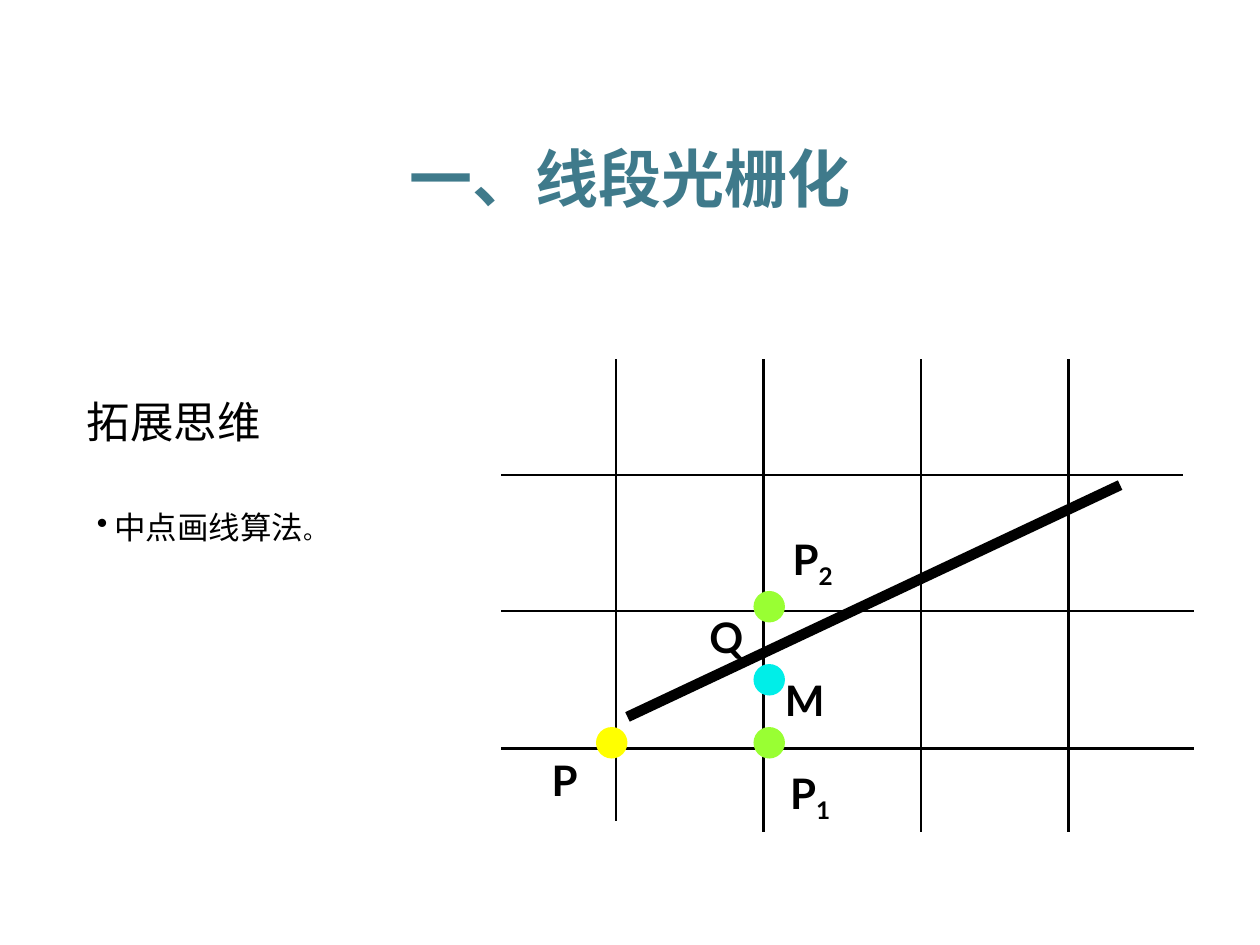
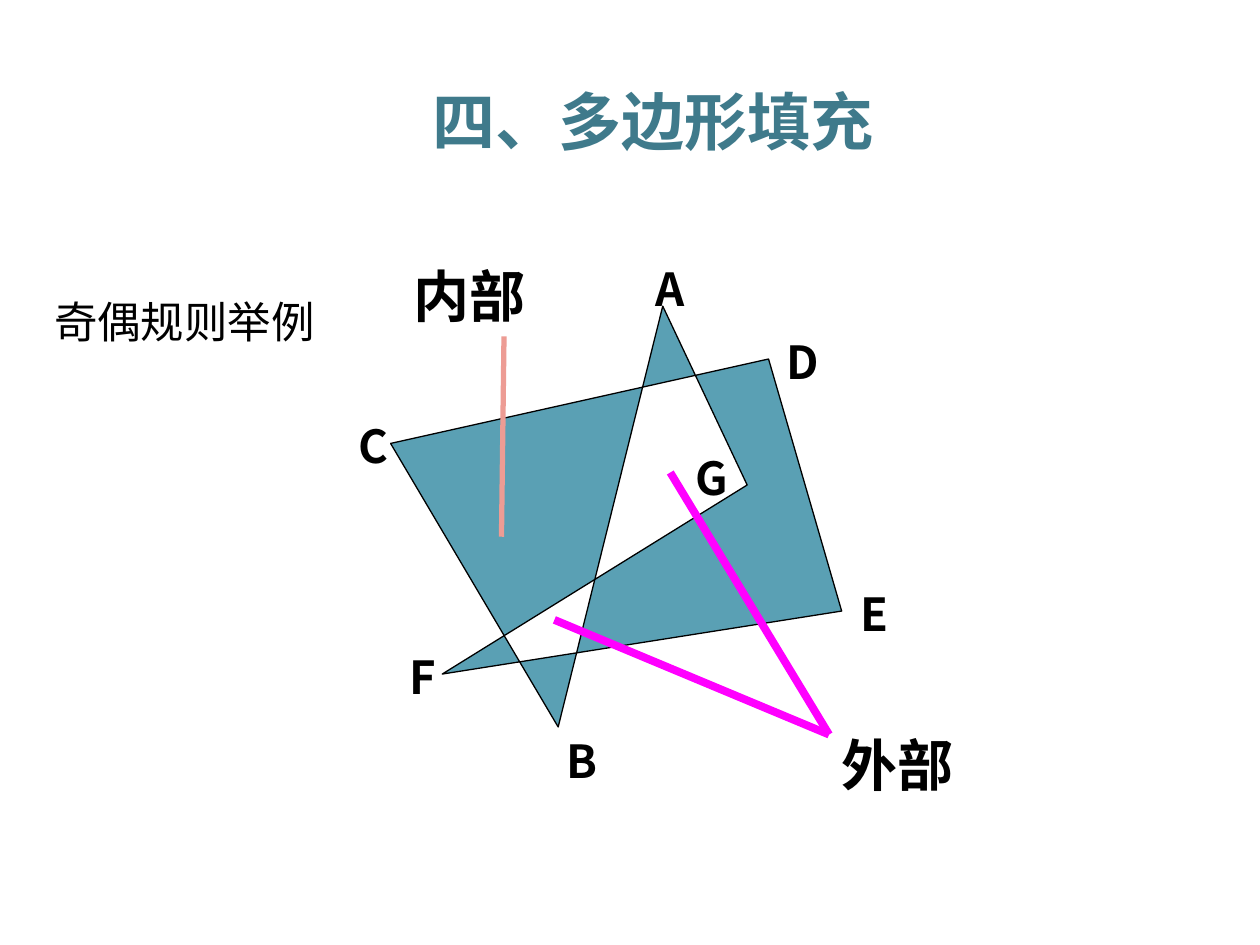
from lxml import etree
from pptx import Presentation
from pptx.dml.color import RGBColor
from pptx.enum.shapes import MSO_CONNECTOR, MSO_SHAPE
from pptx.enum.text import MSO_ANCHOR, MSO_AUTO_SIZE, PP_ALIGN
from pptx.oxml.ns import qn
from pptx.util import Inches, Pt

LEFT, CENTER = PP_ALIGN.LEFT, PP_ALIGN.CENTER
TOP, MIDDLE = MSO_ANCHOR.TOP, MSO_ANCHOR.MIDDLE
STRAIGHT, OVAL = MSO_CONNECTOR.STRAIGHT, MSO_SHAPE.OVAL

COLORS = {
    "ink": "000000", "head": "3F7A8B", "fill": "5AA0B4",
    "yellow": "FFFF00", "green": "99FF33", "cyan": "00EEE8",
    "salmon": "ED9C94", "pink": "FF00FF",
}
SANS, LATO, NOTO = "Arial", "Lato", "Noto Sans CJK SC"

# Slide 1: raster grid with the midpoint rule
RASTER = {"head": "一、线段光栅化", "head_at": (0.33, 0.99, 9.34, 0.83),
          "title": "拓展思维", "title_at": (0.59, 3, 7.99, 0.6)}
BULLET, STOP = "中点画线算法", "。"
ROWS = [(3.77, 9.39), (4.85, 9.48), (5.94, 9.48)]            # y, right end
COLS = [(4.89, 6.52), (6.06, 6.6), (7.31, 6.6), (8.48, 6.6)]  # x, lower end
GRID_LEFT, GRID_TOP = 3.98, 2.85
SEGMENT = (4.98, 5.69, 8.89, 3.85)
DOT = 0.25
DOTS = [(4.73, 5.77, "yellow"), (5.98, 4.69, "green"),
        (5.98, 5.77, "green"), (5.98, 5.27, "cyan")]
POINTS = [  # name, subscript, place, line spacing
    ("M", "", (6.23, 5.35, 0.3, 0.4), 1),
    ("P", "", (4.37, 5.99, 0.22, 0.4), 1),
    ("P", "1", (6.25, 6.03, 0.36, 0.48), 1.2),
    ("P", "2", (6.25, 4.09, 0.4, 0.56), 1.4),
    ("Q", "", (5.63, 4.85, 0.26, 0.4), 1),
]

# Slide 2: polygon filled by the odd-even rule
POLYGON = {"head": "四、多边形填充", "head_at": (0.51, 0.6, 9.34, 0.71),
           "title": "奇偶规则举例", "title_at": (0.33, 2.02, 9.33, 0.98)}
CORNERS = [  # name, corner, label's left and top
    ("A", (5.26, 2.43), (5.1, 2.02)),
    ("B", (4.43, 5.77), (4.4, 5.77)),
    ("C", (3.1, 3.52), (2.75, 3.27)),
    ("D", (6.1, 2.85), (6.14, 2.6)),
    ("E", (6.68, 4.85), (6.73, 4.6)),
    ("F", (3.51, 5.35), (3.15, 5.1)),
    ("G", (5.93, 3.85), (5.42, 3.52)),
]
AREAS = [("外部", (6.58, 5.75)), ("内部", (3.18, 2.03))]
LEADERS = [((3.98, 4.26, 4, 2.67), "salmon", 3),
           ((5.32, 3.75, 6.58, 5.83), "pink", 4.5),
           ((4.4, 4.92, 6.58, 5.83), "pink", 4.5)]


def rgb(name):
    return RGBColor.from_string(COLORS[name])


def style(para, size, face, color="ink", bold=False, align=LEFT, space=1):
    para.alignment = align
    para.line_spacing = space
    font = para.font
    font.size, font.name, font.bold = Pt(size), face, bold
    font.color.rgb = rgb(color)


def add_text(slide, text, at, size, face, anchor=TOP, inset=True,
             wrap=False, **look):
    box = slide.shapes.add_textbox(*map(Inches, at))
    frame = box.text_frame
    frame.word_wrap = wrap
    frame.vertical_anchor = anchor
    if not inset:
        frame.margin_left = frame.margin_right = 0
        frame.margin_top = frame.margin_bottom = 0
    para = frame.paragraphs[0]
    para.add_run().text = text
    style(para, size, face, **look)
    return para


def add_line(slide, ends, color="ink", width=1.5):
    line = slide.shapes.add_connector(STRAIGHT, *map(Inches, ends))
    line.line.color.rgb = rgb(color)
    line.line.width = Pt(width)
    etree.SubElement(line._element.spPr, qn("a:effectLst"))


def add_bullet(para):
    props = para._p.get_or_add_pPr()
    props.set("marL", str(Inches(0.14)))
    props.set("indent", str(-Inches(0.14)))
    mark = etree.Element(qn("a:buChar"), char="•")
    props.insert_element_before(mark, "a:tabLst", "a:defRPr", "a:extLst")


def add_slide(deck, plan):
    """Add a slide with its centred heading and its title."""
    slide = deck.slides.add_slide(deck.slide_layouts[5])
    title = slide.shapes.title
    title.left, title.top, title.width, title.height = map(
        Inches, plan["title_at"])
    frame = title.text_frame
    frame.text = plan["title"]
    frame.auto_size = MSO_AUTO_SIZE.NONE
    frame.vertical_anchor = MIDDLE
    style(frame.paragraphs[0], 24.8, SANS, space=1.2)
    add_text(slide, plan["head"], plan["head_at"], 36, NOTO, anchor=MIDDLE,
             wrap=True, color="head", bold=True, align=CENTER)
    return slide


def draw_raster(deck):
    slide = add_slide(deck, RASTER)
    para = add_text(slide, BULLET, (0.67, 3.83, 9, 1.11), 18, SANS,
                    wrap=True, space=1.5)
    add_bullet(para)
    stop = para.add_run()
    stop.text = STOP
    stop.font.size = Pt(13.5)

    for y, right in ROWS:
        add_line(slide, (GRID_LEFT, y, right, y))
    for x, low in COLS:
        add_line(slide, (x, GRID_TOP, x, low))
    add_line(slide, SEGMENT, width=6)
    for x, y, color in DOTS:
        dot = slide.shapes.add_shape(OVAL, *map(Inches, (x, y, DOT, DOT)))
        dot.shadow.inherit = False
        dot.fill.solid()
        dot.fill.fore_color.rgb = rgb(color)
        dot.line.fill.background()
    for name, sub, at, space in POINTS:
        para = add_text(slide, name, at, 24, LATO, anchor=MIDDLE, inset=False,
                        bold=True, align=CENTER, space=space)
        if sub:
            run = para.add_run()
            run.text = sub
            run._r.get_or_add_rPr().set("baseline", "-25000")


def draw_polygon(deck):
    slide = add_slide(deck, POLYGON)
    for text, at in AREAS:
        add_text(slide, text, (*at, 1.09, 0.63), 32, LATO, bold=True)

    first, *rest = [(Inches(x), Inches(y)) for _, (x, y), _ in CORNERS]
    pen = slide.shapes.build_freeform(*first)
    pen.add_line_segments(rest, close=True)
    shape = pen.convert_to_shape()
    shape.shadow.inherit = False
    shape.fill.solid()
    shape.fill.fore_color.rgb = rgb("fill")
    shape.line.color.rgb = rgb("ink")
    shape.line.width = Pt(0.75)

    for name, _, at in CORNERS:
        add_text(slide, name, (*at, 0.38, 0.53), 26, NOTO, bold=True)
    for ends, color, width in LEADERS:
        add_line(slide, ends, color, width)


def main():
    deck = Presentation()
    deck.slide_width, deck.slide_height = Inches(10), Inches(7.5)
    draw_raster(deck)
    draw_polygon(deck)
    deck.save("out.pptx")


if __name__ == "__main__":
    main()
